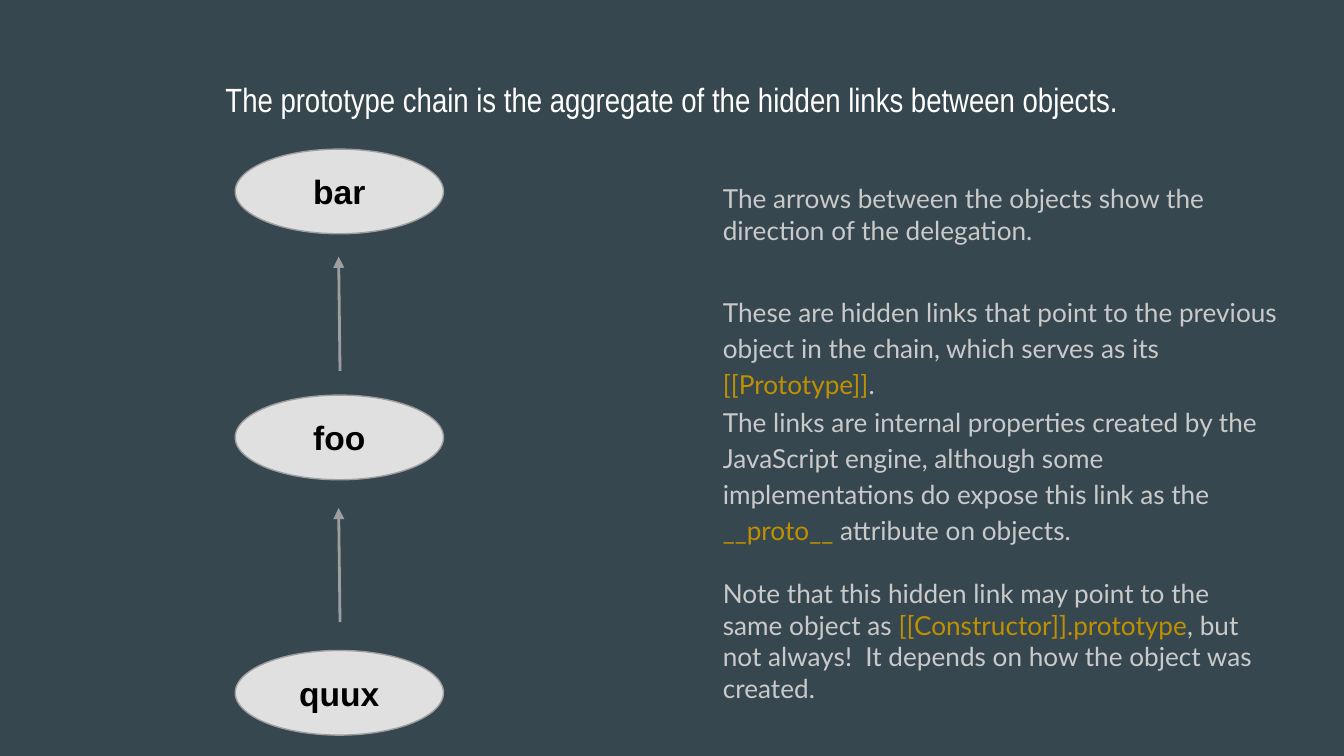
from dataclasses import dataclass

from lxml.etree import SubElement
from pptx import Presentation
from pptx.dml.color import RGBColor
from pptx.enum.shapes import MSO_CONNECTOR, MSO_SHAPE
from pptx.enum.text import MSO_ANCHOR, PP_ALIGN
from pptx.oxml.ns import qn
from pptx.util import Inches, Pt

# Grid of 100 columns by 56.25 rows, in square cells
SLIDE_WIDTH, SLIDE_HEIGHT = Inches(10), Inches(5.625)
CELL = SLIDE_WIDTH / 100

BACKGROUND = "37474F"
WHITE, BLACK = "FFFFFF", "000000"
NODE_FILL, OUTLINE = "E0E0E0", "9E9E9E"
BODY, ACCENT = "CACACA", "BF9000"

NODE_LEFT, NODE_WIDTH, NODE_HEIGHT = 17.5, 15.5, 6.3
ARROW_FOOT, ARROW_TIP, ARROW_HEIGHT = 25.3, 25.2, 8.5
NOTE_LEFT = 52.8


@dataclass(frozen=True)
class Node:
    name: str
    row: float


@dataclass(frozen=True)
class Note:
    row: float
    columns: float
    rows: float
    runs: tuple[tuple[str, str], ...]
    spaced: bool = False


NODES = (Node("bar", 11.1), Node("foo", 29.4), Node("quux", 48.4))
ARROW_TIP_ROWS = (19.1, 37.8)

NOTES = (
    Note(12.6, 43.7, 7.4, (
        ("The arrows between the objects show the direction of the delegation.", BODY),
    )),
    Note(20.7, 45.5, 7.4, (
        ("These are hidden links that point to the previous object in the chain, "
         "which serves as its ", BODY),
        ("[[Prototype]]", ACCENT),
        (".", BODY),
    ), spaced=True),
    Note(28.9, 44.7, 12.4, (
        ("The links are internal properties created by the JavaScript engine, although "
         "some implementations do expose this link as the ", BODY),
        ("__proto__", ACCENT),
        (" attribute on objects.", BODY),
    ), spaced=True),
    Note(42, 42.2, 10.4, (
        ("Note that this hidden link may point to the same object as ", BODY),
        ("[[Constructor]].prototype", ACCENT),
        (", but not always!  It depends on how the object was created.", BODY),
    )),
)


def color(value: str) -> RGBColor:
    return RGBColor.from_string(value)


def cells(*counts: float) -> list[int]:
    return [round(count * CELL) for count in counts]


def set_frame(shape, anchor=MSO_ANCHOR.TOP):
    """Wrap the text with even margins and return the first paragraph."""
    frame = shape.text_frame
    frame.word_wrap = True
    frame.vertical_anchor = anchor
    frame.margin_left = frame.margin_right = Inches(0.1)
    frame.margin_top = frame.margin_bottom = Inches(0.1)
    return frame.paragraphs[0]


def set_font(paragraph, name: str, size: float) -> None:
    paragraph.font.name = name
    paragraph.font.size = Pt(size)


def add_title(slide, text: str) -> None:
    box = slide.shapes.add_textbox(*cells(3.4, 4.9, 93.2, 6.3))
    paragraph = set_frame(box)
    paragraph.text = text
    paragraph.alignment = PP_ALIGN.CENTER
    set_font(paragraph, "Arial Narrow", 18)
    paragraph.font.color.rgb = color(WHITE)


def add_node(slide, node: Node) -> None:
    bounds = cells(NODE_LEFT, node.row, NODE_WIDTH, NODE_HEIGHT)
    ellipse = slide.shapes.add_shape(MSO_SHAPE.OVAL, *bounds)
    ellipse.shadow.inherit = False
    ellipse.fill.solid()
    ellipse.fill.fore_color.rgb = color(NODE_FILL)
    ellipse.line.color.rgb = color(OUTLINE)
    ellipse.line.width = Pt(0.75)
    paragraph = set_frame(ellipse, MSO_ANCHOR.MIDDLE)
    paragraph.text = node.name
    paragraph.alignment = PP_ALIGN.CENTER
    set_font(paragraph, "Arial", 18)
    paragraph.font.bold = True
    paragraph.font.color.rgb = color(BLACK)


def add_arrow(slide, tip_row: float) -> None:
    ends = cells(ARROW_FOOT, tip_row + ARROW_HEIGHT, ARROW_TIP, tip_row)
    arrow = slide.shapes.add_connector(MSO_CONNECTOR.STRAIGHT, *ends)
    arrow.line.color.rgb = color(OUTLINE)
    arrow.line.width = Pt(1.5)
    SubElement(arrow.line._get_or_add_ln(), qn("a:tailEnd"), type="triangle")
    SubElement(arrow._element.spPr, qn("a:effectLst"))


def add_note(slide, note: Note) -> None:
    box = slide.shapes.add_textbox(*cells(NOTE_LEFT, note.row, note.columns, note.rows))
    paragraph = set_frame(box)
    set_font(paragraph, "Lato", 14)
    if note.spaced:
        paragraph.line_spacing = 1.15
        paragraph.space_after = Pt(16)
    for text, run_color in note.runs:
        run = paragraph.add_run()
        run.text = text
        run.font.color.rgb = color(run_color)


def main() -> None:
    presentation = Presentation()
    presentation.slide_width, presentation.slide_height = SLIDE_WIDTH, SLIDE_HEIGHT
    slide = presentation.slides.add_slide(presentation.slide_layouts[6])
    slide.background.fill.solid()
    slide.background.fill.fore_color.rgb = color(BACKGROUND)

    add_title(slide, "The prototype chain is the aggregate of the hidden links between objects.")

    # Prototype chain, each arrow pointing up to the delegate
    for node in NODES:
        add_node(slide, node)
    for tip_row in ARROW_TIP_ROWS:
        add_arrow(slide, tip_row)

    # Explanations on the right
    for note in NOTES:
        add_note(slide, note)

    presentation.save("out.pptx")


if __name__ == "__main__":
    main()
